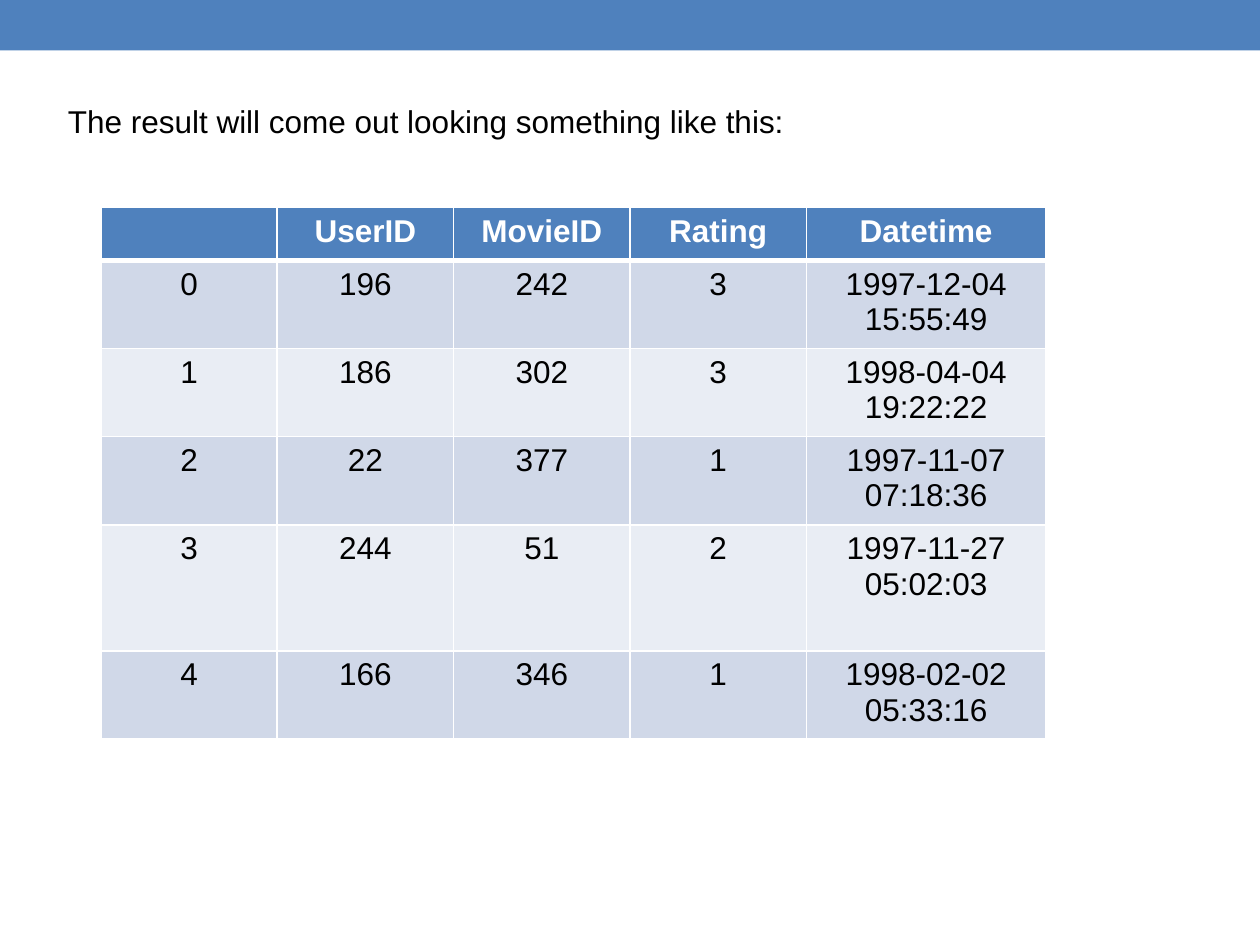
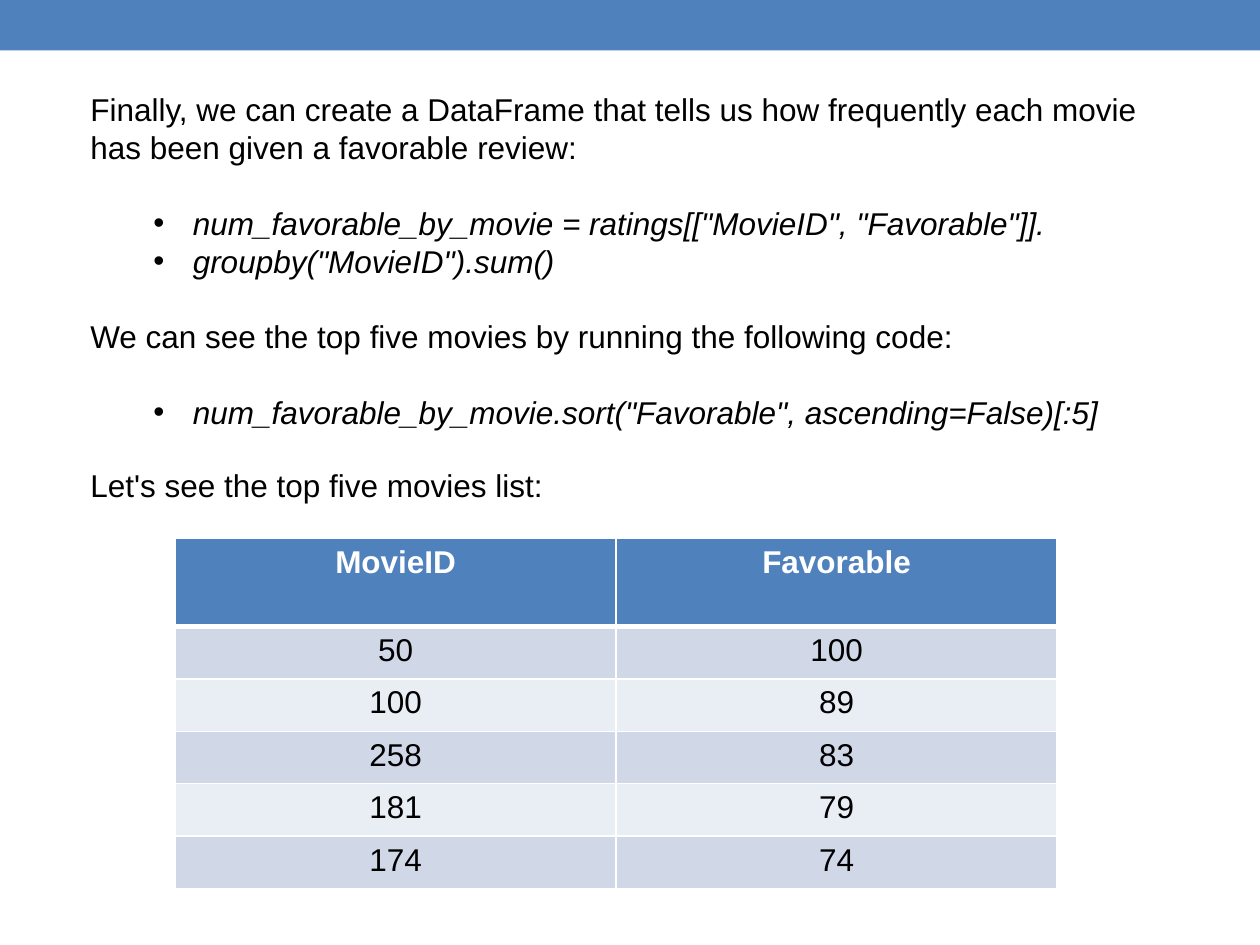
from lxml import etree
from pptx import Presentation
from pptx.dml.color import RGBColor
from pptx.enum import shapes, text
from pptx.oxml import ns
from pptx.util import Pt

BLUE = RGBColor(0x4F, 0x81, 0xBD)
DARK = RGBColor(0xD0, 0xD8, 0xE8)
LIGHT = RGBColor(0xE9, 0xED, 0xF4)
WHITE = RGBColor(0xFF, 0xFF, 0xFF)
BLACK = RGBColor(0, 0, 0)
FONT, SIZE = "Arial", 18
LINE = 21.6
ROW = 30
TALL = 50.3


def style(para, color=BLACK, bold=False, italic=False):
    font = para.font
    font.name, font.size = FONT, Pt(SIZE)
    font.bold, font.italic = bold, italic
    font.color.rgb = color


def add_band(master, slide, width):
    band = slide.shapes.add_shape(shapes.MSO_SHAPE.RECTANGLE, 0, 0, width, Pt(28.8))
    band.shadow.inherit = False
    band.fill.solid()
    band.fill.fore_color.rgb = BLUE
    band.line.fill.background()
    master.element.cSld.spTree.insert(2, band.element)


def add_bullet(para):
    props = para._p.get_or_add_pPr()
    props.set("lvl", "1")
    props.set("marL", str(Pt(58.5)))
    props.set("indent", str(Pt(-22.5)))
    etree.SubElement(props, ns.qn("a:buFont")).set("typeface", FONT)
    etree.SubElement(props, ns.qn("a:buChar")).set("char", "•")


def add_text(slide, box, items):
    frame = slide.shapes.add_textbox(*map(Pt, box)).text_frame
    frame.word_wrap = True
    was_code = False
    for index, (words, code) in enumerate(items):
        para = frame.add_paragraph() if index else frame.paragraphs[0]
        para.text = words
        if code:
            add_bullet(para)
        if len(items) > 1:
            para.line_spacing = Pt(LINE)
        if index and code != was_code:
            para.space_before = Pt(LINE)
        style(para, italic=code)
        was_code = code


def add_edges(cell, top, bottom):
    props = cell._tc.get_or_add_tcPr()
    for side, width in (("L", 1), ("R", 1), ("T", top), ("B", bottom)):
        edge = etree.SubElement(props, ns.qn("a:ln" + side), w=str(Pt(width)))
        fill = etree.SubElement(edge, ns.qn("a:solidFill"))
        etree.SubElement(fill, ns.qn("a:srgbClr"), val=str(WHITE))


def add_grid(slide, left, top, widths, heights, rows):
    table = slide.shapes.add_table(
        len(rows), len(widths), Pt(left), Pt(top), Pt(sum(widths)), Pt(sum(heights))
    ).table
    for col, width in zip(table.columns, widths):
        col.width = Pt(width)
    for r, (row, height) in enumerate(zip(rows, heights)):
        table.rows[r].height = Pt(height)
        head = r == 0
        for c, value in enumerate(row):
            cell = table.cell(r, c)
            add_edges(cell, 3 if r == 1 else 1, 3 if head else 1)
            cell.fill.solid()
            cell.fill.fore_color.rgb = BLUE if head else (LIGHT, DARK)[r % 2]
            cell.text = str(value)
            para = cell.text_frame.paragraphs[0]
            para.alignment = text.PP_ALIGN.CENTER
            style(para, WHITE if head else BLACK, bold=head)


def build_result(slide):
    add_text(slide, (31.7, 54.7, 644.4, 28.8),
             [("The result will come out looking something like this:", False)])
    rows = [
        ("", "UserID", "MovieID", "Rating", "Datetime"),
        (0, 196, 242, 3, "1997-12-04 15:55:49"),
        (1, 186, 302, 3, "1998-04-04 19:22:22"),
        (2, 22, 377, 1, "1997-11-07 07:18:36"),
        (3, 244, 51, 2, "1997-11-27 05:02:03"),
        (4, 166, 346, 1, "1998-02-02 05:33:16"),
    ]
    add_grid(slide, 57.6, 118.7, [100.8] * 4 + [136.8],
             [ROW] + [TALL] * 3 + [72, TALL], rows)


def build_top(slide):
    add_text(slide, (44.6, 48.2, 631.4, 203.8), [
        ("Finally, we can create a DataFrame that tells us how frequently "
         "each movie has been given a favorable review:", False),
        ('num_favorable_by_movie = ratings[["MovieID", "Favorable"]].', True),
        ('groupby("MovieID").sum()', True),
        ("We can see the top five movies by running the following code:", False),
        ('num_favorable_by_movie.sort("Favorable", ascending=False)[:5]', True),
    ])
    add_text(slide, (44.6, 262.8, 615.6, 28.8),
             [("Let's see the top five movies list:", False)])
    rows = [("MovieID", "Favorable"), (50, 100), (100, 89), (258, 83),
            (181, 79), (174, 74)]
    add_grid(slide, 100.1, 307.6, [252] * 2, [TALL] + [ROW] * 5, rows)


def main():
    deck = Presentation()
    deck.slide_width, deck.slide_height = Pt(720), Pt(540)
    blank = deck.slide_layouts[6]
    first, second = (deck.slides.add_slide(blank) for _ in range(2))
    add_band(deck.slide_master, first, deck.slide_width)
    build_result(first)
    build_top(second)
    deck.save("out.pptx")


if __name__ == "__main__":
    main()
